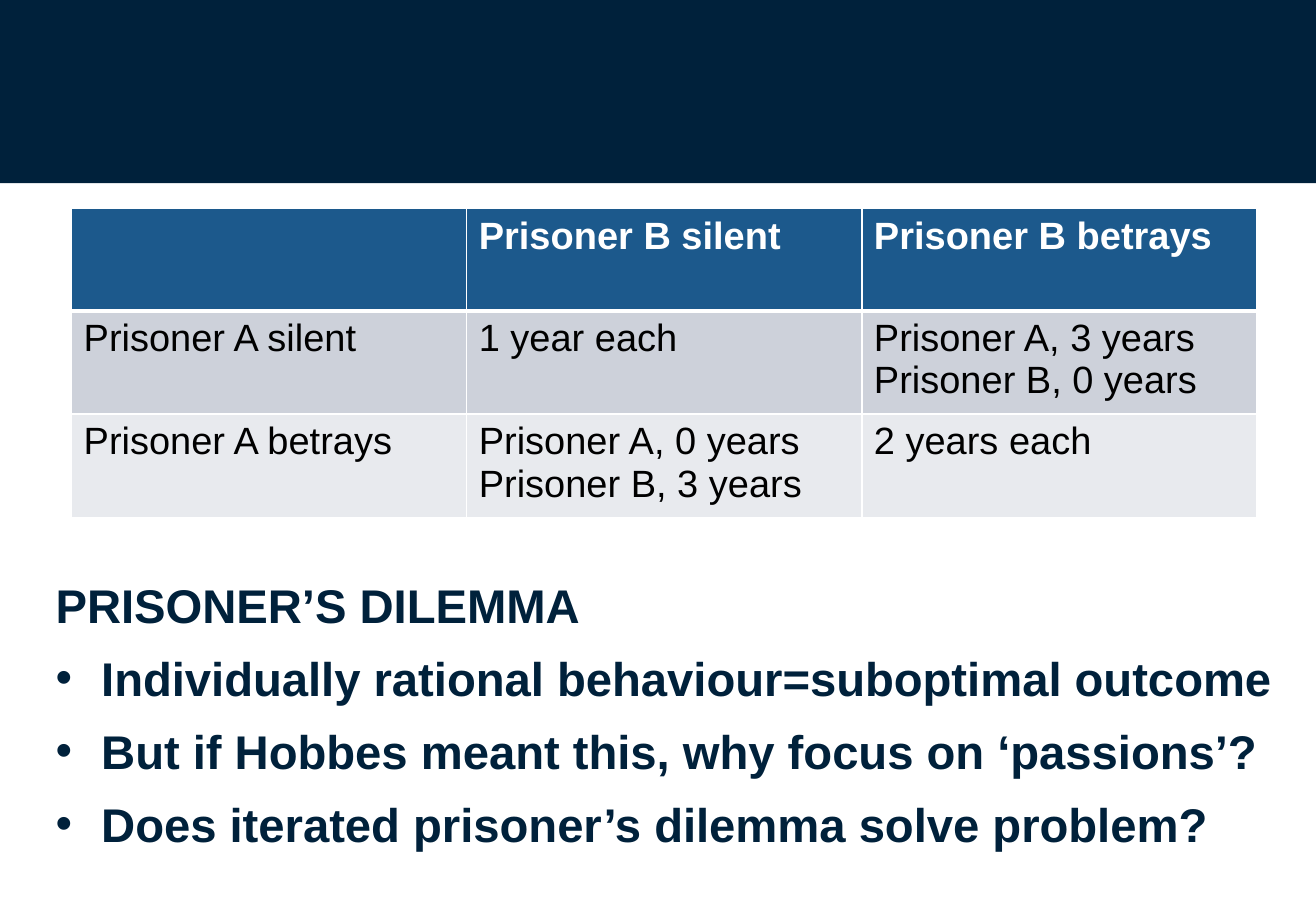
"""Build the prisoner's dilemma slide: header band, payoff table and discussion points."""
from dataclasses import dataclass
from typing import Any

from lxml.etree import SubElement
from pptx import Presentation
from pptx.dml.color import RGBColor as Color
from pptx.enum.shapes import MSO_SHAPE as Preset
from pptx.enum.text import PP_ALIGN as Align
from pptx.oxml.ns import qn
from pptx.util import Pt


@dataclass(frozen=True)
class Theme:
    font: str = "Arial"
    navy: Color = Color(0x00, 0x21, 0x3B)
    blue: Color = Color(0x1C, 0x59, 0x8C)
    dark_row: Color = Color(0xCD, 0xD1, 0xDA)
    light_row: Color = Color(0xE8, 0xEA, 0xEE)
    white: Color = Color(0xFF, 0xFF, 0xFF)
    black: Color = Color(0x00, 0x00, 0x00)
    table_size: float = 22.5
    body_size: float = 28


@dataclass(frozen=True)
class PayoffRow:
    cells: tuple[str, str, str]
    fill: Color
    color: Color
    bold: bool = False
    top_border: float = 1
    bottom_border: float = 1


@dataclass(frozen=True)
class Point:
    text: str
    bulleted: bool = True


THEME = Theme()
SLIDE_WIDTH, SLIDE_HEIGHT = 780, 540
BAND_HEIGHT = 108.6
TABLE_LEFT, TABLE_TOP = 42.4, 123.7
COLUMN_WIDTH, ROW_HEIGHT = 234.2, 60.5
BODY_LEFT, BODY_TOP, BODY_WIDTH, BODY_HEIGHT = 33, 341.5, 736, 165
INDENT = 27
POINT_GAP = 9.6

ROWS = (
    PayoffRow(("", "Prisoner B silent", "Prisoner B betrays"),
              THEME.blue, THEME.white, bold=True, bottom_border=3),
    PayoffRow(("Prisoner A silent", "1 year each", "Prisoner A, 3 years\nPrisoner B, 0 years"),
              THEME.dark_row, THEME.black, top_border=3),
    PayoffRow(("Prisoner A betrays", "Prisoner A, 0 years\nPrisoner B, 3 years", "2 years each"),
              THEME.light_row, THEME.black),
)
POINTS = (
    Point("PRISONER’S DILEMMA", bulleted=False),
    Point("Individually rational behaviour=suboptimal outcome"),
    Point("But if Hobbes meant this, why focus on ‘passions’?"),
    Point("Does iterated prisoner’s dilemma solve problem?"),
)


def set_attributes(target: Any, values: dict[str, Any]) -> None:
    for name, value in values.items():
        setattr(target, name, value)


def format_font(paragraph: Any, size: float, color: Color, bold: bool) -> None:
    set_attributes(paragraph.font, {"name": THEME.font, "size": Pt(size), "bold": bold})
    paragraph.font.color.rgb = color


def add_band(slide: Any) -> None:
    band = slide.shapes.add_shape(Preset.RECTANGLE, 0, 0, Pt(SLIDE_WIDTH), Pt(BAND_HEIGHT))
    band.shadow.inherit = False
    band.fill.solid()
    band.fill.fore_color.rgb = THEME.navy
    band.line.fill.background()


def add_borders(cell: Any, row: PayoffRow) -> None:
    properties = cell._tc.get_or_add_tcPr()
    widths = {"lnL": 1, "lnR": 1, "lnT": row.top_border, "lnB": row.bottom_border}
    for tag, width in widths.items():
        line = SubElement(properties, qn(f"a:{tag}"), w=str(Pt(width)))
        fill = SubElement(line, qn("a:solidFill"))
        SubElement(fill, qn("a:srgbClr"), val=str(THEME.white))


def add_payoff_table(slide: Any) -> None:
    column_count = len(ROWS[0].cells)
    table = slide.shapes.add_table(
        len(ROWS), column_count, Pt(TABLE_LEFT), Pt(TABLE_TOP),
        Pt(COLUMN_WIDTH * column_count), Pt(ROW_HEIGHT * len(ROWS))).table
    for column in table.columns:
        column.width = Pt(COLUMN_WIDTH)
    for table_row, row in zip(table.rows, ROWS):
        table_row.height = Pt(ROW_HEIGHT)
        for cell, text in zip(table_row.cells, row.cells):
            add_borders(cell, row)
            cell.fill.solid()
            cell.fill.fore_color.rgb = row.fill
            cell.text = text
            for paragraph in cell.text_frame.paragraphs:
                format_font(paragraph, THEME.table_size, row.color, row.bold)


def add_bullet(paragraph: Any) -> None:
    properties = paragraph._p.get_or_add_pPr()
    properties.set("marL", str(Pt(INDENT)))
    properties.set("indent", str(-Pt(INDENT)))
    SubElement(properties, qn("a:buFont"), typeface=THEME.font)
    SubElement(properties, qn("a:buChar"), char="•")


def add_points(slide: Any) -> None:
    text_box = slide.shapes.add_textbox(
        Pt(BODY_LEFT), Pt(BODY_TOP), Pt(BODY_WIDTH), Pt(BODY_HEIGHT))
    frame = text_box.text_frame
    set_attributes(frame, {"word_wrap": True, "margin_left": 0, "margin_right": 0,
                           "margin_top": 0, "margin_bottom": 0})
    frame.text = "\n".join(point.text for point in POINTS)
    for paragraph, point in zip(frame.paragraphs, POINTS):
        set_attributes(paragraph, {"alignment": Align.LEFT,
                                   "space_before": Pt(POINT_GAP if point.bulleted else 0)})
        if point.bulleted:
            add_bullet(paragraph)
        format_font(paragraph, THEME.body_size, THEME.navy, bold=True)


def main() -> None:
    presentation = Presentation()
    set_attributes(presentation, {"slide_width": Pt(SLIDE_WIDTH),
                                  "slide_height": Pt(SLIDE_HEIGHT)})
    slide = presentation.slides.add_slide(presentation.slide_layouts[6])
    add_band(slide)
    add_points(slide)
    add_payoff_table(slide)
    presentation.save("out.pptx")


if __name__ == "__main__":
    main()
